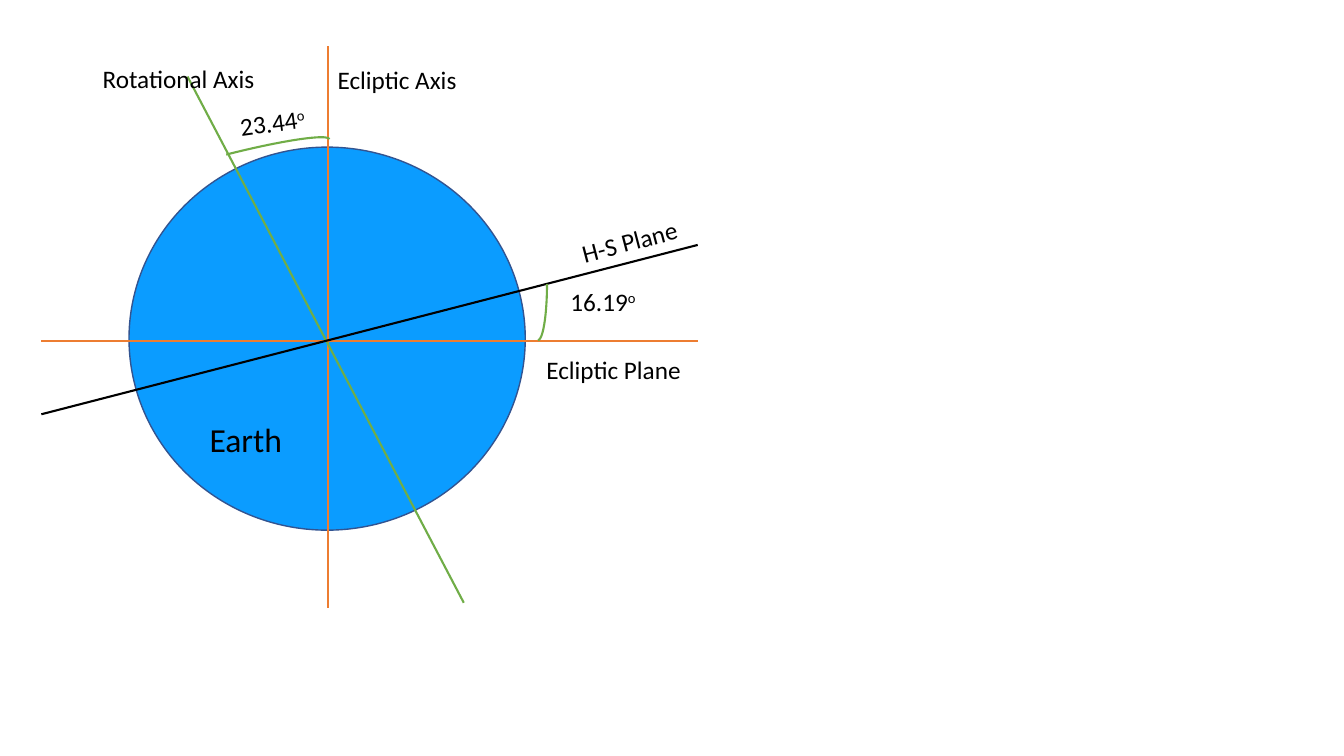
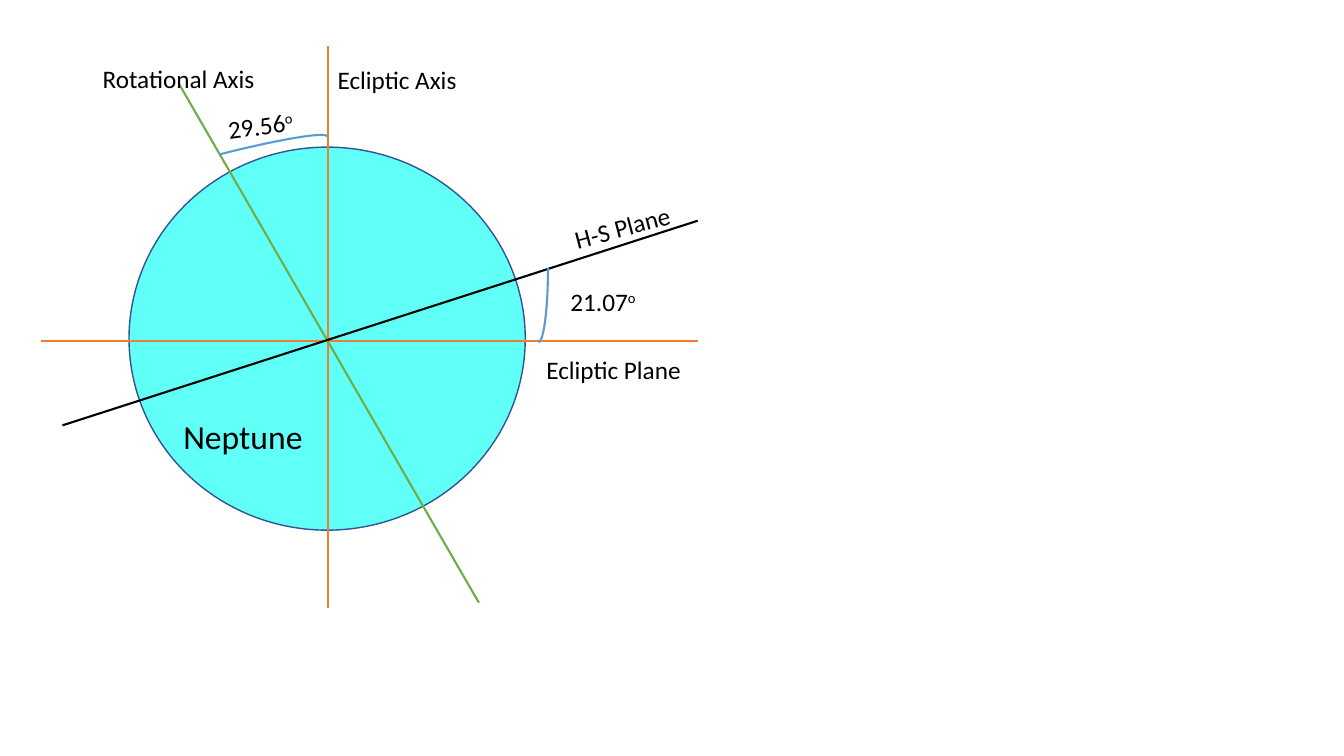
"""Draw the axial tilt and H-S plane angles of two planets, one slide each."""
from pptx import Presentation, util as u
from pptx.dml.color import RGBColor
from pptx.enum import shapes, text
from pptx.oxml.ns import qn
from lxml import etree

theme = {
    "font": "Calibri", "label": 18, "name": 24, "thin": 1, "line": 1.5,
    "ink": "000000", "rim": "325491", "orbit": "ED7D31", "spin": "70AD47",
    "earth": "0B9CFF", "neptune": "60FFF7", "blue": "5B9BD5",
}
planets = [
    {"name": "Earth", "fill": "earth", "arc": "spin",
     "spin": (1.86, 0.76, 4.6, 5.98), "plane": (0.41, 4.11, 6.92, 2.43),
     "arcs": [(1.24, 1.53, 2.06, 0.21, 345.7), (4.78, 2.73, 1.11, 0.18, 90)],
     "tilt": ("23.44", 2.28, 1.01), "angle": "16.19",
     "hs": (5.66, 2.19), "title": (1.98, 4.11, 0.93)},
    {"name": "Neptune", "fill": "neptune", "arc": "blue",
     "spin": (1.78, 0.84, 4.75, 5.98), "plane": (0.62, 4.22, 6.92, 2.19),
     "arcs": [(1.11, 1.53, 2.17, 0.18, 345.7), (4.6, 2.56, 1.48, 0.19, 90)],
     "tilt": ("29.56", 2.16, 1.04), "angle": "21.07",
     "hs": (5.59, 2.05), "title": (1.72, 4.08, 1.4)},
]

deck = Presentation()
deck.slide_width, deck.slide_height = u.Inches(13.33), u.Inches(7.5)
col, row = deck.slide_width / 13.33, deck.slide_height / 7.5


def grid(x, y, w, h):
    """Turn grid columns and rows into lengths."""
    return [round(n * cell) for n, cell in zip((x, y, w, h), (col, row) * 2)]


def stroke(line, hue, width):
    """Set the colour and width of a line."""
    line.color.rgb = RGBColor.from_string(theme[hue])
    line.width = u.Pt(theme[width])


for planet in planets:
    slide = deck.slides.add_slide(deck.slide_layouts[6])
    items = slide.shapes

    globe = items.add_shape(shapes.MSO_SHAPE.OVAL, *grid(1.28, 1.46, 3.93, 3.8))
    globe.shadow.inherit = False
    globe.fill.solid()
    globe.fill.fore_color.rgb = RGBColor.from_string(theme[planet["fill"]])
    stroke(globe.line, "rim", "thin")

    for ends, hue in [
        ((3.25, 0.46, 3.25, 6.03), "orbit"),
        (planet["spin"], "spin"),
        ((6.92, 3.38, 0.41, 3.38), "orbit"),
        (planet["plane"], "ink"),
    ]:
        axis = items.add_connector(shapes.MSO_CONNECTOR.STRAIGHT, *grid(*ends))
        stroke(axis.line, hue, "line")
        etree.SubElement(axis.element.spPr, qn("a:effectLst"))

    for *area, turn in planet["arcs"]:
        arc = items.add_shape(shapes.MSO_SHAPE.ARC, *grid(*area))
        arc.shadow.inherit = False
        arc.fill.background()
        arc.rotation = turn
        stroke(arc.line, planet["arc"], "line")

    tilt, left, top = planet["tilt"]
    for words, area, turn, size in [
        (["Ecliptic Axis"], (3.25, 0.59, 1.39, 0.4), 0, "label"),
        (["Rotational Axis"], (0.92, 0.58, 1.72, 0.4), 0, "label"),
        ([tilt, "o"], (left, top, 0.92, 0.4), 352.5, "label"),
        (["Ecliptic Plane"], (5.32, 3.47, 1.55, 0.4), 0, "label"),
        ([planet["angle"], "o"], (5.56, 2.79, 0.87, 0.4), 0, "label"),
        (["H-S Plane"], (*planet["hs"], 1.18, 0.4), 345.3, "label"),
        ([planet["name"]], (*planet["title"], 0.5), 0, "name"),
    ]:
        box = items.add_textbox(*grid(*area))
        box.rotation = turn
        frame = {"word_wrap": words[0] == tilt,
                 "auto_size": text.MSO_AUTO_SIZE.SHAPE_TO_FIT_TEXT}
        for key, value in frame.items():
            setattr(box.text_frame, key, value)
        for part in words:
            run = box.text_frame.paragraphs[0].add_run()
            run.text = part
            for key, value in {"name": theme["font"], "size": u.Pt(theme[size])}.items():
                setattr(run.font, key, value)
            run.font.color.rgb = RGBColor.from_string(theme["ink"])
            if part == "o":
                run._r.get_or_add_rPr().set("baseline", "30000")

deck.save("out.pptx")
